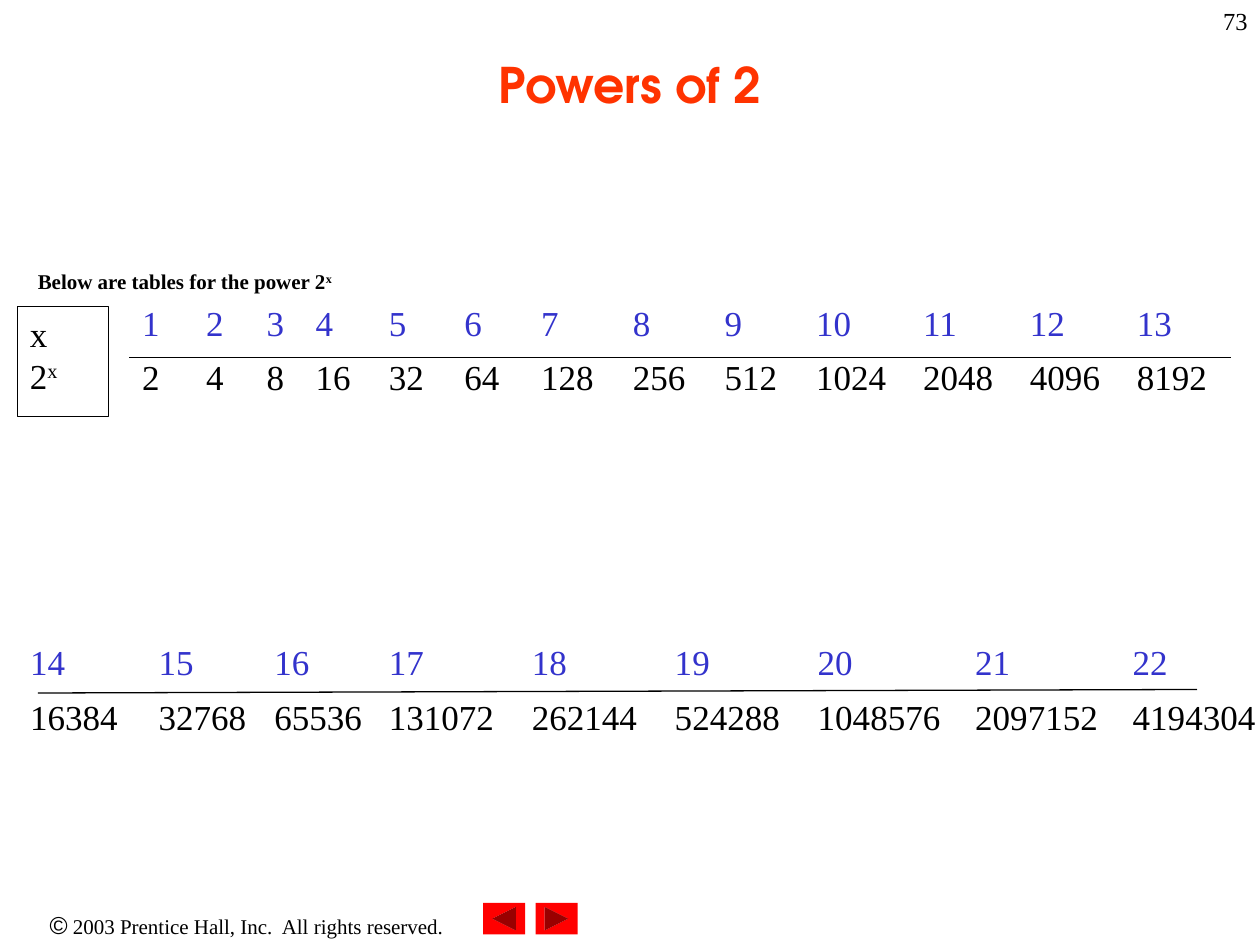
"""Build the slide of powers of two."""
from pptx import Presentation
from pptx.dml.color import RGBColor
from pptx.enum.shapes import MSO_CONNECTOR as Link, MSO_SHAPE as Kind
from pptx.enum.text import MSO_ANCHOR as Anchor, PP_ALIGN as Align
from pptx.oxml import parse_xml
from pptx.oxml.ns import nsdecls
from pptx.util import Pt

BLACK, BLUE, RED, WHITE = "000000", "3333CC", "FF0000", "FFFFFF"


def tint(code):
    return RGBColor.from_string(code)


def write(para, text, size=20, face="Times New Roman", color=BLACK,
          bold=False, raised=False, align=Align.LEFT):
    para.alignment = align
    run = para.add_run()
    run.text = text
    font = run.font
    font.size, font.name, font.bold = Pt(size), face, bold
    font.color.rgb = tint(color)
    if raised:
        run._r.get_or_add_rPr().set("baseline", "30000")


class Page:
    def __init__(self, slide, width=0.75):
        self.slide, self.items, self.width = slide, slide.shapes, Pt(width)

    def title(self, text, *area, **style):
        head = self.items.title
        head.left, head.top, head.width, head.height = map(Pt, area)
        head.text_frame.vertical_anchor = Anchor.MIDDLE
        write(head.text_frame.paragraphs[0], text, **style)

    def label(self, *area, inset=True):
        frame = self.items.add_textbox(*map(Pt, area)).text_frame
        frame.word_wrap = inset
        if not inset:
            frame.margin_left = frame.margin_right = 0
            frame.margin_top = frame.margin_bottom = 0
            frame.vertical_anchor = Anchor.MIDDLE
        return frame.paragraphs[0]

    def shape(self, kind, *area, fill=WHITE, line=None):
        item = self.items.add_shape(kind, *map(Pt, area))
        item.shadow.inherit = False
        item.fill.solid()
        item.fill.fore_color.rgb = tint(fill)
        if line:
            item.line.color.rgb = tint(line)
            item.line.width = self.width
        else:
            item.line.fill.background()
        return item.text_frame

    def table(self, first, left, top, cols, rows):
        grid = self.items.add_table(len(rows), len(cols), Pt(left), Pt(top),
                                    Pt(sum(cols)), Pt(sum(rows))).table
        grid.first_row = grid.horz_banding = False
        for row, high in zip(grid.rows, rows):
            row.height = Pt(high)
        for i, wide in enumerate(cols):
            grid.columns[i].width = Pt(wide)
            power = first + i
            for j, (value, color) in enumerate([(power, BLUE), (2 ** power, BLACK)]):
                cell = grid.cell(j, i)
                cell.fill.background()
                write(cell.text_frame.paragraphs[0], str(value), color=color)

    def line(self, *ends):
        rule = self.items.add_connector(Link.STRAIGHT, *map(Pt, ends))
        rule.line.color.rgb = tint(BLACK)
        rule.line.width = self.width
        rule._element.spPr.append(parse_xml(f"<a:effectLst {nsdecls('a')}/>"))


def main():
    deck = Presentation()
    deck.slide_width, deck.slide_height = Pt(720), Pt(540)
    page = Page(deck.slides.add_slide(deck.slide_layouts[5]))

    note = page.label(0, 516.5, 282, 24)
    write(note, "©", size=14, face="Arial", align=Align.CENTER)
    write(note, " 2003 Prentice Hall, Inc.  All rights reserved.", size=12,
          align=Align.CENTER)
    page.shape(Kind.ACTION_BUTTON_FORWARD_OR_NEXT, 306, 516, 24, 18, fill=RED)
    page.shape(Kind.ACTION_BUTTON_BACK_OR_PREVIOUS, 276, 516, 24, 18, fill=RED)

    write(page.label(570, 0, 150, 36), "73", size=14, align=Align.RIGHT)
    page.title("Powers of 2", 54, 6, 612, 84, size=28, face="TeX Gyre Adventor",
               color="FF3300", bold=True, align=Align.CENTER)

    lead = page.label(21.6, 153.4, 168.5, 14.4, inset=False)
    write(lead, "Below are tables for the power 2", size=12, bold=True)
    write(lead, "x", size=12, bold=True, raised=True)

    key = page.shape(Kind.RECTANGLE, 10, 175, 52, 63, line=BLACK)
    key.vertical_anchor = Anchor.TOP
    write(key.paragraphs[0], "x")
    base = key.add_paragraph()
    write(base, "2")
    write(base, "x", raised=True)

    page.table(1, 74, 170.6, [36.6, 34.6, 28, 41.8, 43.2, 43.9]
               + [52.4] * 3 + [61.1] * 4, [31, 31])
    page.table(14, 10, 364.8, [73.4, 66.2, 65.4] + [81.7] * 3 + [90] * 3, [31, 34])
    page.line(74, 204.4, 703.4, 204.4)
    page.line(21.6, 396, 684, 394)
    deck.save("out.pptx")


if __name__ == "__main__":
    main()
